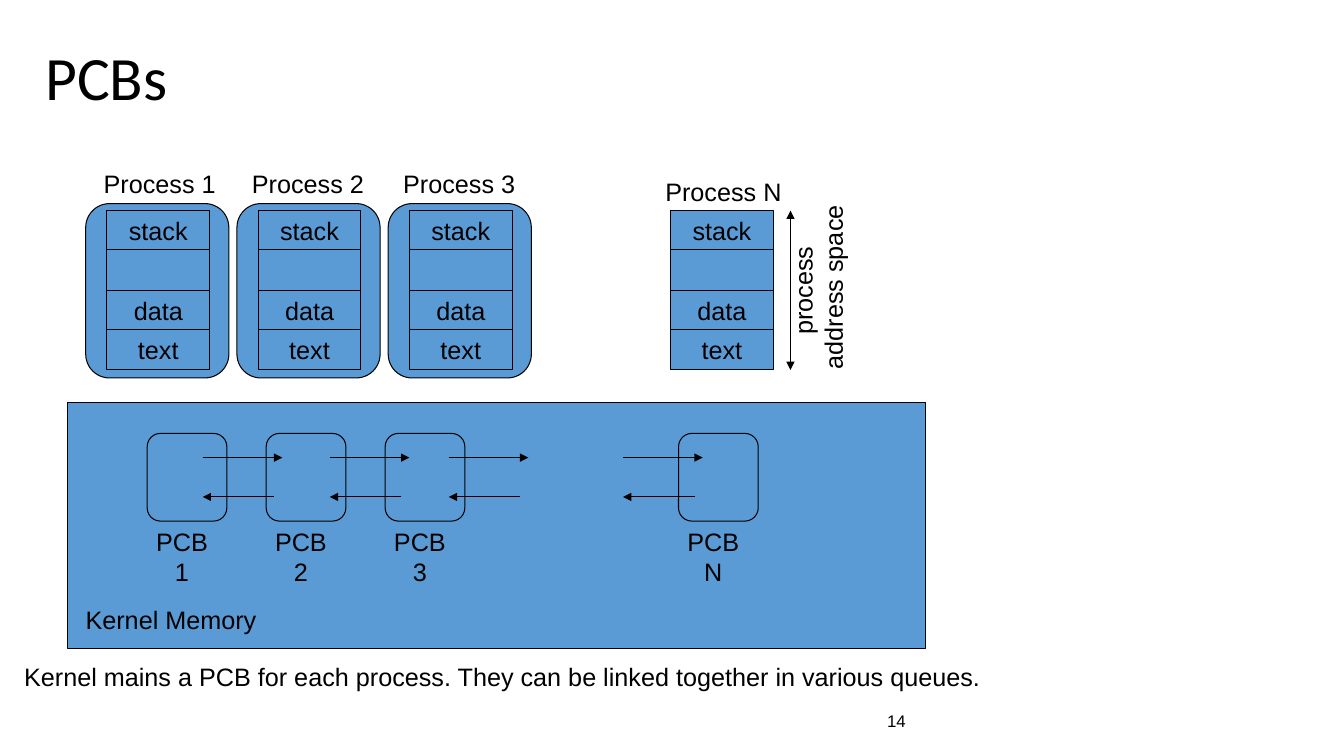
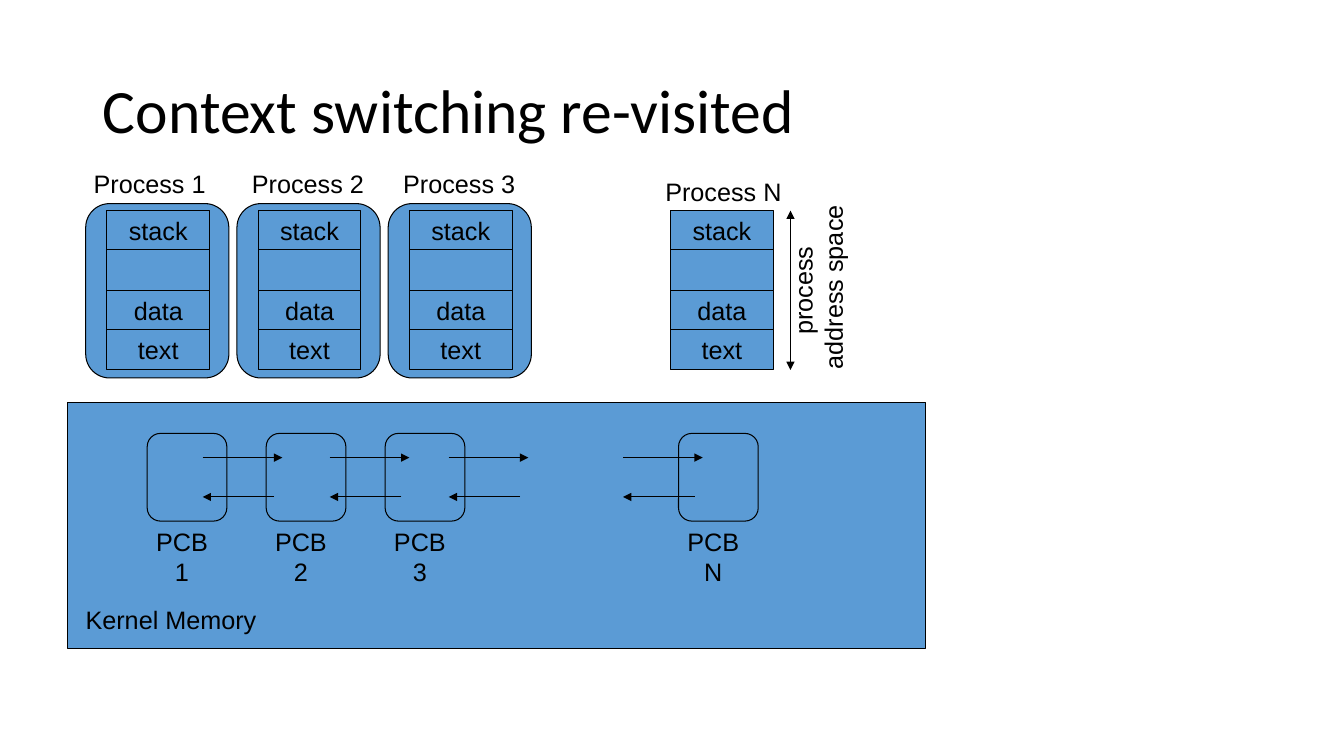
from lxml.etree import SubElement
from pptx import Presentation
from pptx.dml.color import RGBColor
from pptx.enum.shapes import MSO_CONNECTOR, MSO_SHAPE
from pptx.enum.text import MSO_ANCHOR, MSO_AUTO_SIZE, PP_ALIGN
from pptx.oxml.ns import qn
from pptx.util import Emu, Pt

EMU_PER_PX = 9144  # 100 px to the inch
COLORS = {"ink": "000000", "block": "5B9BD5"}
TITLE_FONT, BODY_FONT = "Calibri", "Arial"
SEGMENTS = ("stack", "", "data", "text")
TITLE_ONLY = 5


def px(length):
    return Emu(length * EMU_PER_PX)


def color(name):
    return RGBColor.from_string(COLORS[name])


def write_text(frame, text, size=18, font=BODY_FONT, align=PP_ALIGN.LEFT,
               anchor=MSO_ANCHOR.TOP, wrap=False, line_spacing=None):
    """Fill a text frame, one paragraph for each line of text."""
    frame.word_wrap = wrap
    frame.auto_size = MSO_AUTO_SIZE.NONE
    frame.vertical_anchor = anchor
    for number, line in enumerate(text.split("\n")):
        para = frame.add_paragraph() if number else frame.paragraphs[0]
        para.alignment = align
        para.line_spacing = line_spacing
        span = para.add_run()
        span.text = line
        span.font.size = Pt(size)
        span.font.name = font
        span.font.color.rgb = color("ink")


def add_label(page, text, left, top, width, height, **text_format):
    box = page.shapes.add_textbox(px(left), px(top), px(width), px(height))
    write_text(box.text_frame, text, **text_format)
    return box


def add_block(page, left, top, width, height, text="", rounded=False):
    kind = MSO_SHAPE.ROUNDED_RECTANGLE if rounded else MSO_SHAPE.RECTANGLE
    block = page.shapes.add_shape(kind, px(left), px(top), px(width), px(height))
    block.shadow.inherit = False
    block.fill.solid()
    block.fill.fore_color.rgb = color("block")
    block.line.color.rgb = color("ink")
    block.line.width = Pt(0.75)
    if text:
        write_text(block.text_frame, text, align=PP_ALIGN.CENTER,
                   anchor=MSO_ANCHOR.MIDDLE)


def add_arrow(page, start, end, both_ends=False):
    arrow = page.shapes.add_connector(MSO_CONNECTOR.STRAIGHT,
                                      *map(px, start + end))
    arrow.line.color.rgb = color("ink")
    arrow.line.width = Pt(0.75)
    outline = arrow.line._get_or_add_ln()
    for tag in ("a:headEnd", "a:tailEnd") if both_ends else ("a:tailEnd",):
        SubElement(outline, qn(tag), type="triangle")
    SubElement(arrow._element.spPr, qn("a:effectLst"))


def add_title(page, text, left, top, width, height):
    title = page.shapes.title
    title.left, title.top = px(left), px(top)
    title.width, title.height = px(width), px(height)
    write_text(title.text_frame, text, size=44, font=TITLE_FONT,
               anchor=MSO_ANCHOR.MIDDLE, wrap=True, line_spacing=0.9)


def add_address_space(page, left, top, width=102, height=158):
    """Stack the memory segments of one process in equal rows."""
    edges = [top + row * height // len(SEGMENTS)
             for row in range(len(SEGMENTS) + 1)]
    for name, upper, lower in zip(SEGMENTS, edges, edges[1:]):
        add_block(page, left, upper, width, lower - upper, name)


def add_process(page, name, left, top, label_shift=0):
    add_block(page, left, top, 142, 173, rounded=True)
    add_address_space(page, left + 21, top + 7)
    add_label(page, f"Process {name}", left + 5 + label_shift, top - 40, 131, 40)


def add_last_process(page, left, top):
    """Place process N with the arrow that measures its address space."""
    add_address_space(page, left, top)
    add_label(page, "Process N", left - 15, top - 39, 135, 40)
    add_arrow(page, (left + 119, top), (left + 119, top + 158), both_ends=True)
    caption = add_label(page, "process \naddress space", left + 55, top + 41,
                        182, 70, align=PP_ALIGN.CENTER)
    caption.rotation = 270


def add_kernel_memory(page, left, top, width, height):
    """Place the kernel block with its doubly linked PCBs."""
    add_block(page, left, top, width, height)
    for name, offset in zip("123N", (79, 197, 315, 606)):
        pcb = left + offset
        add_block(page, pcb, top + 31, 79, 87, rounded=True)
        add_label(page, f"PCB\n{name}", pcb - 1, top + 118, 71, 70,
                  align=PP_ALIGN.CENTER)
    for offset in (134, 260, 378, 551):
        link = left + offset
        add_arrow(page, (link, top + 55), (link + 79, top + 55))
        add_arrow(page, (link + 71, top + 94), (link, top + 94))
    add_label(page, "Kernel Memory", left + 8, top + 196, 189, 40)


def add_process_slide(deck, title, title_box, first_label_shift):
    page = deck.slides.add_slide(deck.slide_layouts[TITLE_ONLY])
    add_title(page, title, *title_box)
    for index, shift in enumerate((first_label_shift, 0, 0)):
        add_process(page, index + 1, 85 + 150 * index, 202, shift)
    add_last_process(page, 665, 209)
    add_kernel_memory(page, 67, 399, 851, 244)
    return page


def main():
    deck = Presentation()
    deck.slide_width, deck.slide_height = px(1333), px(750)

    page = add_process_slide(deck, "PCBs", (35, 17, 929, 125), 3)
    add_label(page, "Kernel mains a PCB for each process. "
              "They can be linked together in various queues.",
              14, 651, 982, 40)
    add_label(page, "14", 870, 698, 104, 34, size=12, anchor=MSO_ANCHOR.MIDDLE)

    add_process_slide(deck, "Context switching re-visited",
                      (92, 40, 1150, 145), -7)
    deck.save("out.pptx")


if __name__ == "__main__":
    main()
